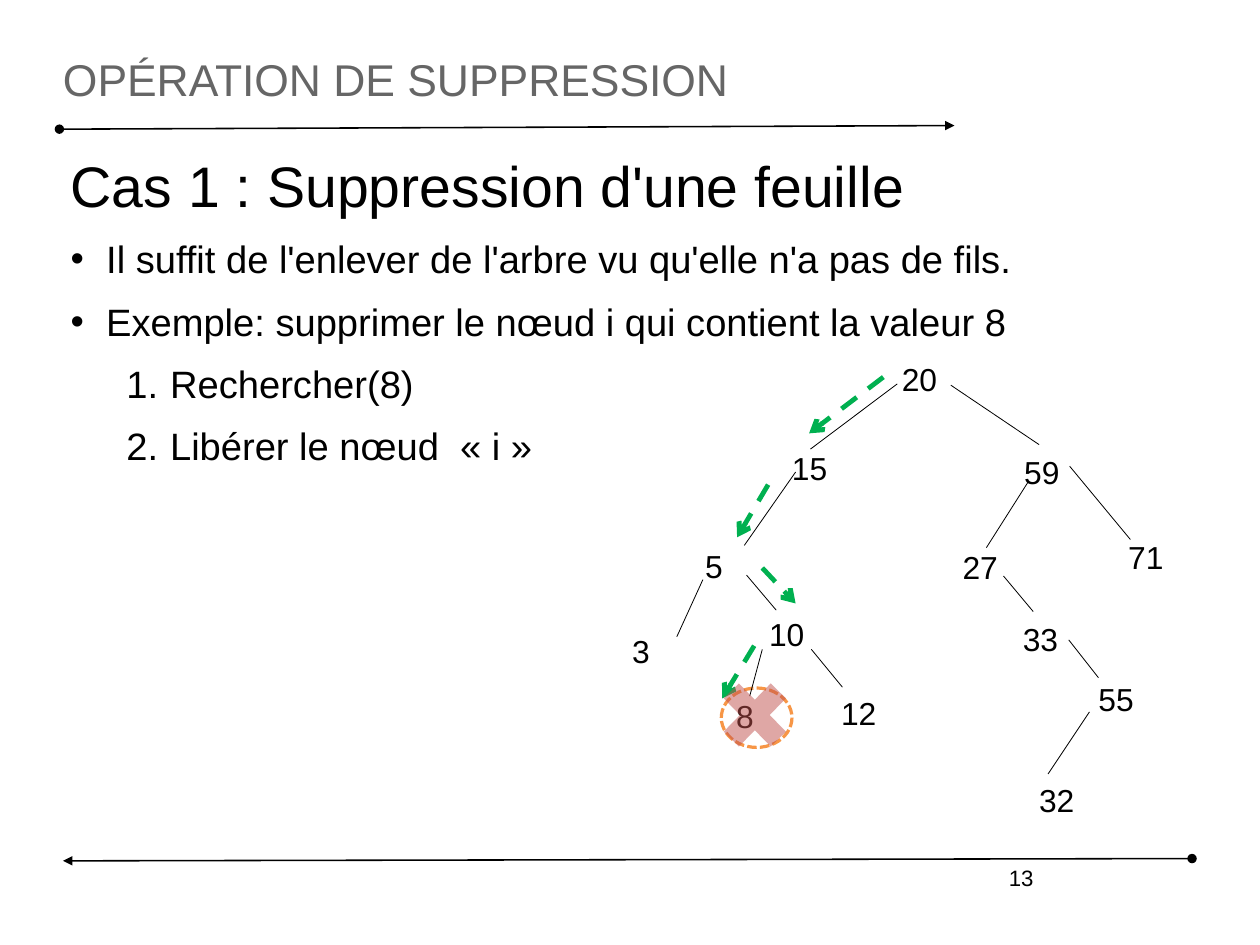
from lxml.etree import SubElement
from pptx import Presentation
from pptx.dml.color import RGBColor
from pptx.enum.dml import MSO_LINE
from pptx.enum.shapes import MSO_CONNECTOR, MSO_SHAPE
from pptx.enum.text import MSO_ANCHOR, MSO_AUTO_SIZE, PP_ALIGN
from pptx.oxml.ns import qn
from pptx.util import Cm, Pt

# Content
TITLE = "OPÉRATION DE SUPPRESSION"
PAGE_NUMBER = "13"
BODY = [  # style, text
    ("heading", "Cas 1 : Suppression d'une feuille"),
    ("bullet", "Il suffit de l'enlever de l'arbre vu qu'elle n'a pas de fils."),
    ("bullet", "Exemple: supprimer le nœud i qui contient la valeur 8"),
    ("step", "Rechercher(8)"),
    ("step", "Libérer le nœud  « i »"),
]
NODES = {  # value: left, top (cm)
    "20": (20.04, 8.0),
    "15": (17.6, 9.98), "59": (22.76, 10.06),
    "5": (15.67, 12.14), "27": (21.39, 12.17), "71": (25.07, 11.96),
    "3": (14.05, 14.05), "10": (17.09, 13.67), "33": (22.73, 13.77),
    "8": (16.36, 15.49), "12": (18.69, 15.42), "55": (24.41, 15.11),
    "32": (23.09, 17.35),
}
BRANCHES = [  # parent end, child end (cm)
    (19.94, 8.53, 18.01, 9.98),     # 20 - 15
    (21.13, 8.56, 23.09, 9.88),     # 20 - 59
    (17.68, 10.49, 16.54, 12.12),   # 15 - 5
    (22.86, 10.69, 21.92, 12.17),   # 59 - 27
    (23.77, 10.36, 25.12, 11.99),   # 59 - 71
    (15.62, 12.88, 15.04, 14.15),   # 5 - 3
    (16.59, 12.78, 17.25, 13.56),   # 5 - 10
    (22.3, 12.8, 22.96, 13.59),     # 27 - 33
    (23.75, 14.22, 24.41, 15.06),   # 33 - 55
    (16.94, 14.43, 16.66, 15.47),   # 10 - 8
    (18.03, 14.43, 18.72, 15.27),   # 10 - 12
    (24.21, 15.82, 23.29, 17.2),    # 55 - 32
]
SEARCH_STEPS = [  # 20 to 15 to 5 to 10 to 8
    (19.63, 8.38, 17.98, 9.63),
    (17.07, 10.77, 16.38, 11.94),
    (16.94, 12.62, 17.68, 13.41),
    (16.76, 14.35, 16.05, 15.52),
]
RULES = [(1.32, 2.87, 21.21, 2.79), (26.49, 19.08, 1.4, 19.13)]

# Styles
FONT = "Arial"
COLORS = {"text": "000000", "title": "666666", "search": "00B050",
          "target": "F79646", "cross": "C0504D", "paper": "FFFFFF"}
BODY_STYLES = {  # size, level, left margin, indent (cm), bullet tag and attributes
    "heading": (36, 0, 0.3, 0, "a:buNone", {}),
    "bullet": (24, 0, 1.09, -0.79, "a:buChar", {"char": "•"}),
    "step": (24, 1, 2.51, -0.97, "a:buAutoNum", {"type": "arabicPeriod"}),
}


def color(name):
    return RGBColor.from_string(COLORS[name])


def add_span(para, text, size, color_name="text"):
    span = para.add_run()
    span.text = text
    span.font.name = FONT
    span.font.size = Pt(size)
    span.font.color.rgb = color(color_name)


def place(shape, left, top, width, height):
    shape.left, shape.top = Cm(left), Cm(top)
    shape.width, shape.height = Cm(width), Cm(height)


def clear_margins(frame):
    frame.margin_left = frame.margin_right = 0
    frame.margin_top = frame.margin_bottom = 0


def add_line(ends, width, color_name="text", dash=None, head=None, tail=None):
    line = page.shapes.add_connector(MSO_CONNECTOR.STRAIGHT, *map(Cm, ends))
    line.line.width = Pt(width)
    line.line.color.rgb = color(color_name)
    if dash:
        line.line.dash_style = dash
    properties = line._element.spPr
    outline = properties.find(qn("a:ln"))
    for tag, kind in (("a:headEnd", head), ("a:tailEnd", tail)):
        if kind:
            SubElement(outline, qn(tag), type=kind)
    SubElement(properties, qn("a:effectLst"))


def add_mark(preset, left, top, width, height, fill):
    mark = page.shapes.add_shape(preset, Cm(left), Cm(top), Cm(width), Cm(height))
    mark.shadow.inherit = False
    mark.fill.solid()
    mark.fill.fore_color.rgb = color(fill)
    return mark


deck = Presentation()
deck.slide_width, deck.slide_height = Cm(28), Cm(21)
page = deck.slides.add_slide(deck.slide_layouts[1])

# Title
title = page.shapes.title
place(title, 1.4, 0.84, 25.2, 1.83)
frame = title.text_frame
clear_margins(frame)
frame.vertical_anchor = MSO_ANCHOR.MIDDLE
frame.auto_size = MSO_AUTO_SIZE.NONE
frame.paragraphs[0].alignment = PP_ALIGN.LEFT
add_span(frame.paragraphs[0], TITLE, 28, "title")

# Body list
body = page.placeholders[1]
place(body, 1.27, 3.35, 25.1, 16.4)
frame = body.text_frame
clear_margins(frame)
frame.auto_size = MSO_AUTO_SIZE.NONE
for index, (style, text) in enumerate(BODY):
    size, level, margin, indent, bullet, attributes = BODY_STYLES[style]
    para = frame.add_paragraph() if index else frame.paragraphs[0]
    para.level = level
    para.space_before = Pt(10.4 if index else 0)
    settings = para._p.get_or_add_pPr()
    settings.set("marL", str(Cm(margin)))
    settings.set("indent", str(Cm(indent)))
    SubElement(settings, qn(bullet), **attributes)
    add_span(para, text, size)

# Rules and page number
for ends in RULES:
    add_line(ends, 1, head="oval", tail="triangle")
box = page.shapes.add_textbox(Cm(16.69), Cm(19.08), Cm(6.53), Cm(1.45))
box.text_frame.word_wrap = True
box.text_frame.paragraphs[0].alignment = PP_ALIGN.RIGHT
add_span(box.text_frame.paragraphs[0], PAGE_NUMBER, 14)

# Ring around the node to remove
ring = add_mark(MSO_SHAPE.OVAL, 16.03, 15.29, 1.57, 1.32, "paper")
ring.line.color.rgb = color("target")
ring.line.width = Pt(2)
ring.line.dash_style = MSO_LINE.SQUARE_DOT

# Tree
for ends in BRANCHES:
    add_line(ends, 0.5)
for value, (left, top) in NODES.items():
    box = page.shapes.add_textbox(Cm(left), Cm(top), Cm(0.9), Cm(0.94))
    clear_margins(box.text_frame)
    box.text_frame.word_wrap = True
    add_span(box.text_frame.paragraphs[0], value, 20)

# Search path
for ends in SEARCH_STEPS:
    add_line(ends, 3, "search", MSO_LINE.DASH, tail="arrow")

# Half-transparent cross over the removed node
cross = add_mark(MSO_SHAPE.MATH_MULTIPLY, 15.77, 14.86, 2.01, 2.06, "cross")
cross.line.fill.background()
tint = cross._element.spPr.find(qn("a:solidFill")).find(qn("a:srgbClr"))
SubElement(tint, qn("a:alpha"), val="50000")

deck.save("out.pptx")
